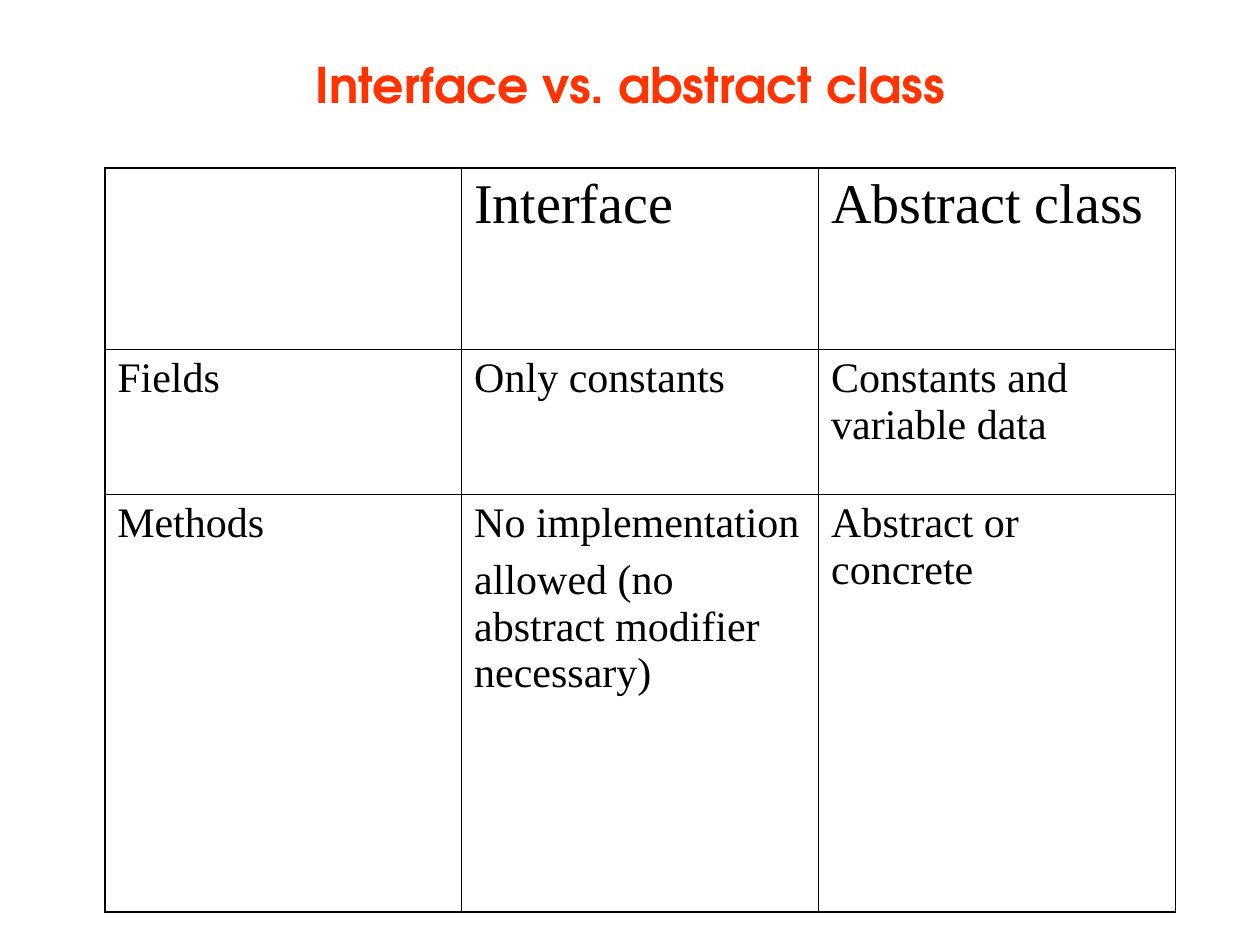
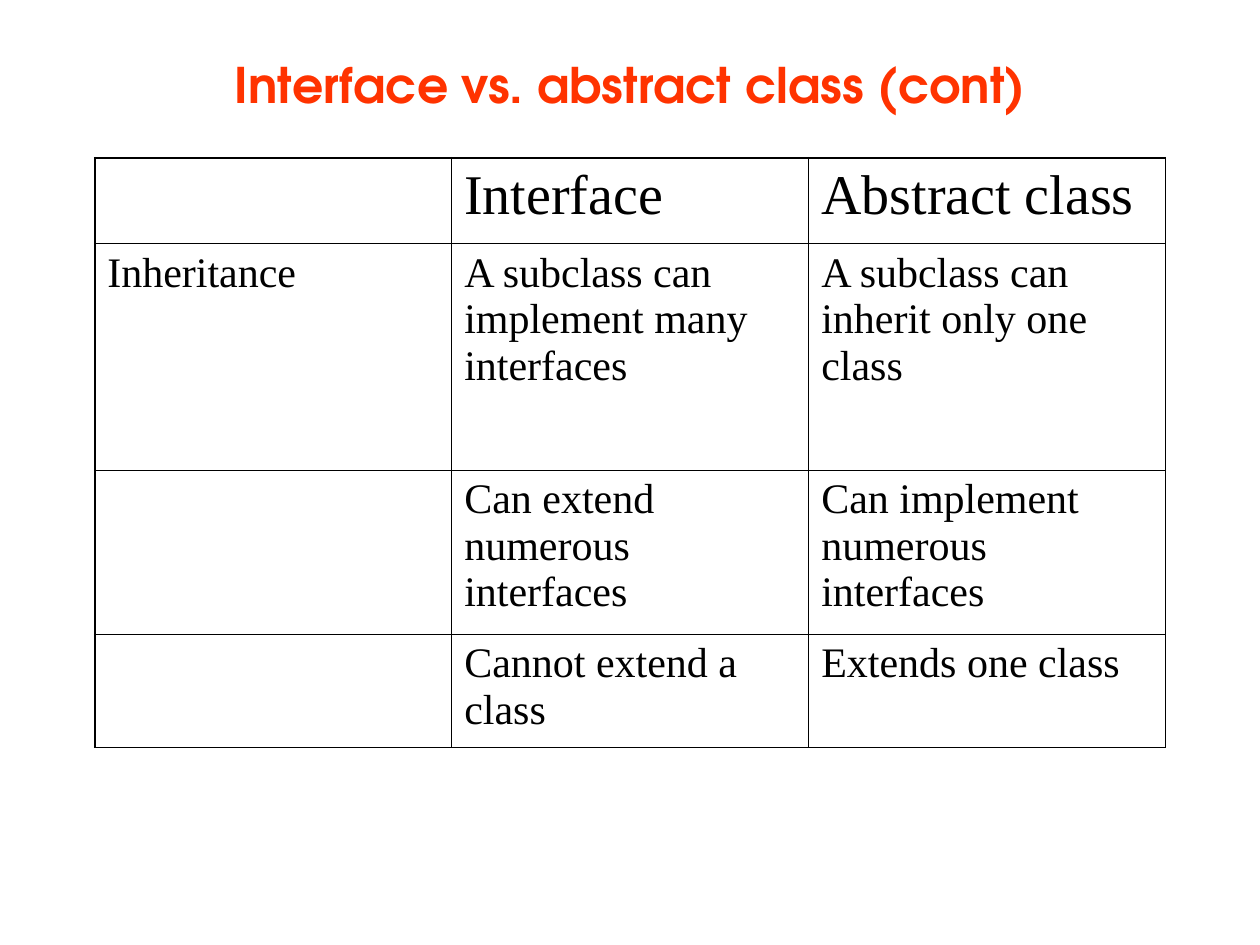
from dataclasses import dataclass

from lxml import etree
from pptx import Presentation
from pptx import util as u
from pptx.dml import color
from pptx.enum import text
from pptx.oxml import ns

COLOURS = {"title": "FF3300", "text": "000000", "border": "000000"}
TITLE_FONT = "TeX Gyre Adventor"
TABLE_FONT = "Times New Roman"
TABLE_WIDTH = u.Cm(21.59)
OUTER_LINE = u.Pt(1.08)
INNER_LINE = u.Pt(0.45)
HEADINGS = ("", "Interface", "Abstract class")
TITLE_ONLY = 5


@dataclass(frozen=True)
class TextStyle:
    font: str
    size: float
    colour: str
    bold: bool = False
    space_before: float = 0


TITLE = TextStyle(TITLE_FONT, 28, "title", bold=True)
HEADING = TextStyle(TABLE_FONT, 32, "text", space_before=8)
BODY = TextStyle(TABLE_FONT, 24, "text", space_before=6)


@dataclass(frozen=True)
class Comparison:
    title: str
    left: float
    top: float
    row_heights: tuple[float, ...]
    aspects: tuple[tuple[str, str, str], ...]


COMPARISONS = (
    Comparison(
        "Interface vs. abstract class", 2.11, 3.38, (3.66, 2.92, 8.43),
        (
            ("Fields", "Only constants", "Constants and variable data"),
            ("Methods",
             "No implementation\nallowed (no abstract modifier necessary)",
             "Abstract or concrete"),
        ),
    ),
    Comparison(
        "Interface vs. abstract class (cont)", 1.91, 3.18, (1.73, 4.57, 3.3, 2.29),
        (
            ("Inheritance", "A subclass can implement many interfaces",
             "A subclass can inherit only one class"),
            ("", "Can extend numerous interfaces", "Can implement numerous interfaces"),
            ("", "Cannot extend a class", "Extends one class"),
        ),
    ),
)


def write(frame, wording: str, style: TextStyle) -> None:
    frame.text = wording
    for paragraph in frame.paragraphs:
        paragraph.space_before = u.Pt(style.space_before)
        for run in paragraph.runs:
            run.font.name = style.font
            run.font.size = u.Pt(style.size)
            run.font.bold = style.bold
            run.font.color.rgb = color.RGBColor.from_string(COLOURS[style.colour])


def set_borders(cell, widths: dict[str, int]) -> None:
    properties = cell._tc.get_or_add_tcPr()
    for position, (side, width) in enumerate(widths.items()):
        border = etree.Element(ns.qn(f"a:ln{side}"), w=str(int(width)))
        fill = etree.SubElement(border, ns.qn("a:solidFill"))
        etree.SubElement(fill, ns.qn("a:srgbClr"), val=COLOURS["border"])
        properties.insert(position, border)


def draw_title(slide, wording: str) -> None:
    title = slide.shapes.title
    title.left, title.top = u.Cm(1.91), u.Cm(0.2)
    title.width, title.height = TABLE_WIDTH, u.Cm(2.97)
    write(title.text_frame, wording, TITLE)
    title.text_frame.vertical_anchor = text.MSO_ANCHOR.MIDDLE
    title.text_frame.paragraphs[0].alignment = text.PP_ALIGN.CENTER


def draw_table(slide, comparison: Comparison) -> None:
    rows = (HEADINGS, *comparison.aspects)
    last_row, last_column = len(rows) - 1, len(HEADINGS) - 1
    table = slide.shapes.add_table(
        len(rows), len(HEADINGS), u.Cm(comparison.left), u.Cm(comparison.top),
        TABLE_WIDTH, u.Cm(sum(comparison.row_heights)),
    ).table
    table.first_row = table.horz_banding = False
    for row, height in zip(table.rows, comparison.row_heights):
        row.height = u.Cm(height)
    for r, wordings in enumerate(rows):
        for c, wording in enumerate(wordings):
            cell = table.cell(r, c)
            if wording:
                write(cell.text_frame, wording, BODY if r else HEADING)
            cell.fill.background()
            edges = {"L": c == 0, "R": c == last_column, "T": r == 0, "B": r == last_row}
            set_borders(cell, {side: OUTER_LINE if outer else INNER_LINE
                               for side, outer in edges.items()})


def main() -> None:
    deck = Presentation()
    deck.slide_width, deck.slide_height = u.Cm(25.4), u.Cm(19.05)
    for comparison in COMPARISONS:
        slide = deck.slides.add_slide(deck.slide_layouts[TITLE_ONLY])
        draw_title(slide, comparison.title)
        draw_table(slide, comparison)
    deck.save("out.pptx")


if __name__ == "__main__":
    main()
